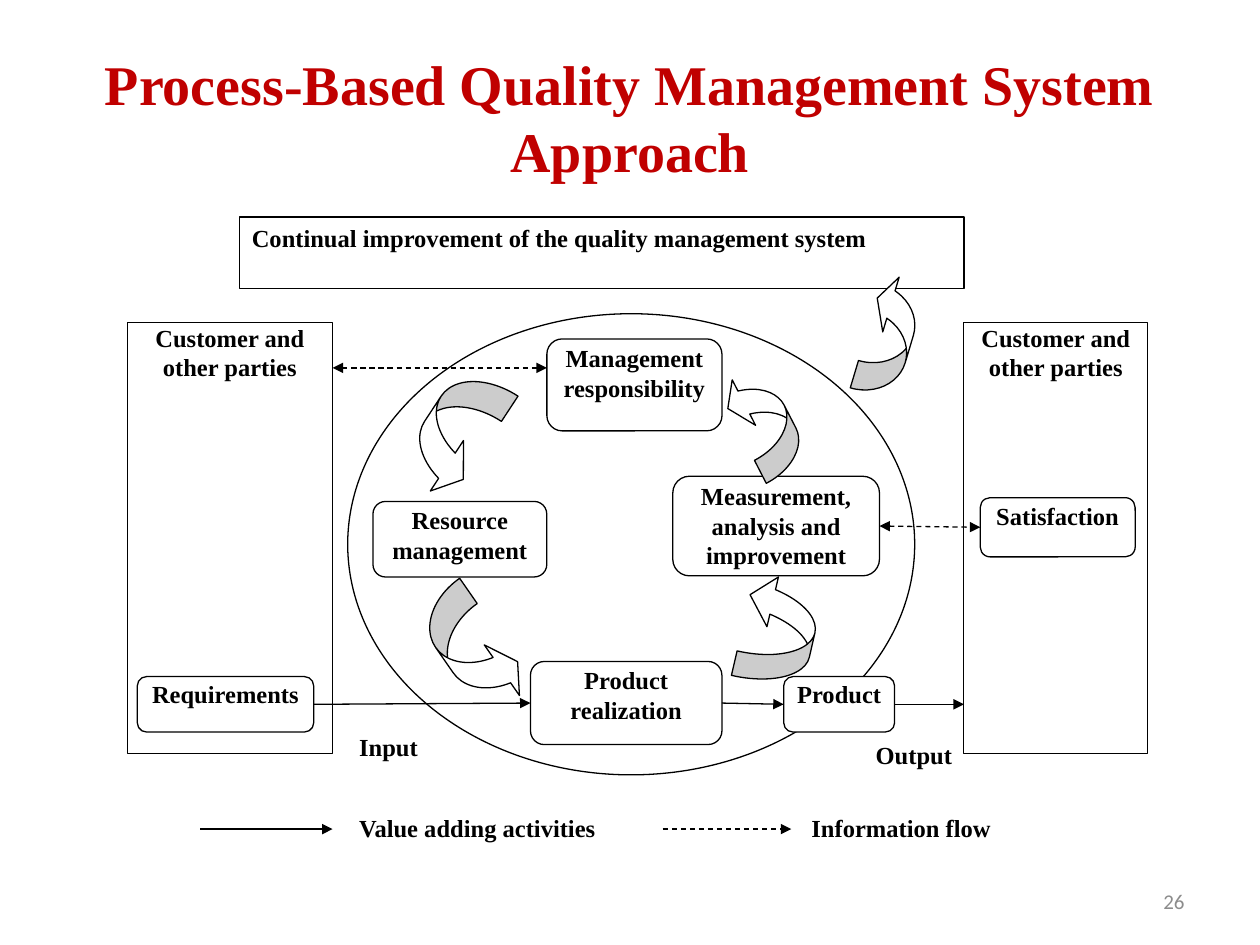
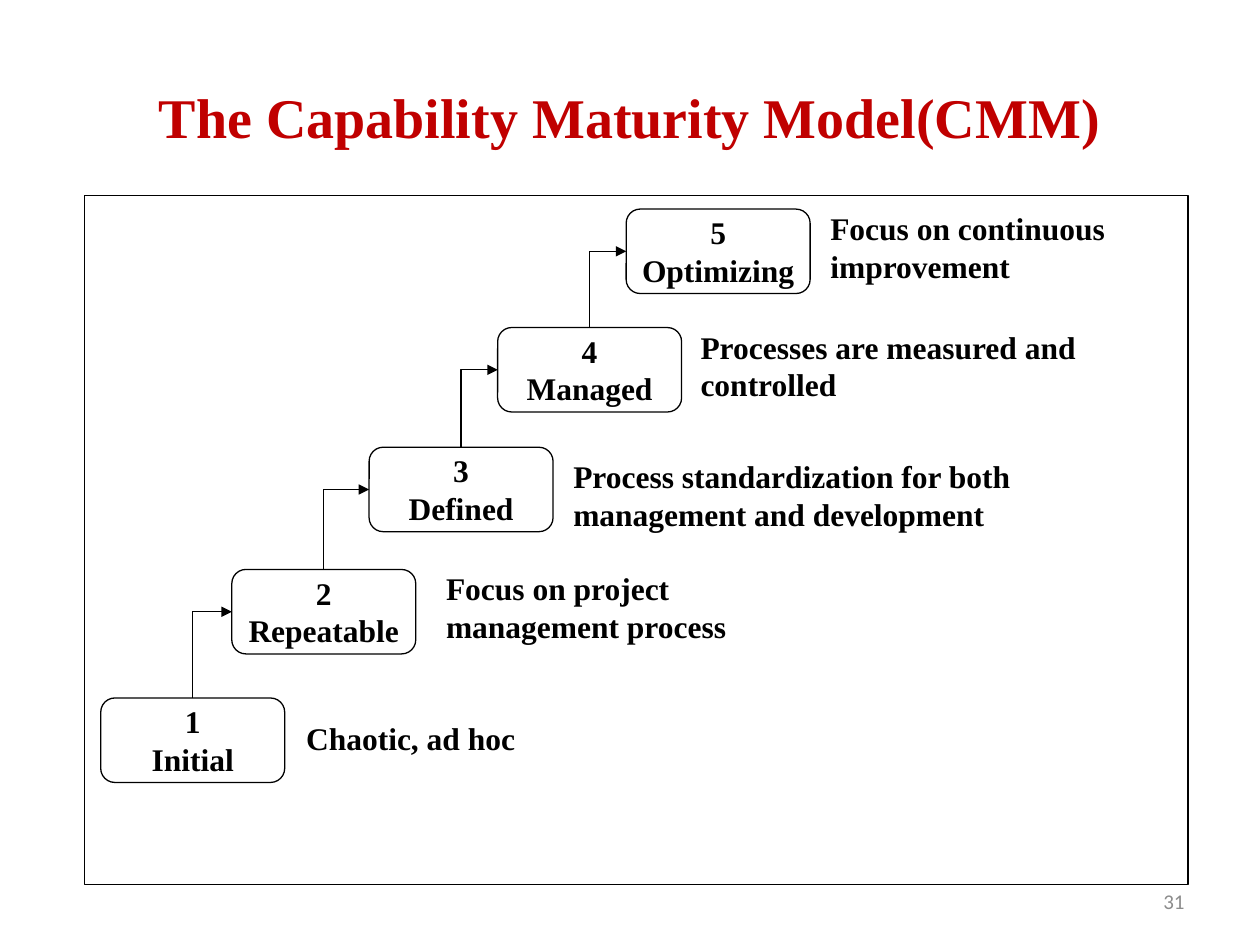
from lxml.etree import SubElement
from pptx import Presentation
from pptx.dml.color import RGBColor
from pptx.enum.dml import MSO_LINE
from pptx.enum.shapes import MSO_CONNECTOR, MSO_SHAPE
from pptx.enum.text import MSO_ANCHOR, PP_ALIGN
from pptx.oxml.ns import qn
from pptx.util import Inches, Pt

BLACK, WHITE, RED, GREY = "000000", "FFFFFF", "C00000", "8C8C8C"
SERIF, SANS = "Times New Roman", "Calibri"


def write(shape, text, size=14, color=BLACK, font=SERIF, bold=True,
          align=PP_ALIGN.CENTER, anchor=MSO_ANCHOR.TOP, inset=(0, 0)):
    tf = shape.text_frame
    tf.word_wrap = True
    tf.vertical_anchor = anchor
    tf.margin_left = tf.margin_right = Inches(inset[0])
    tf.margin_top = tf.margin_bottom = Inches(inset[1])
    tf.text = text
    for p in tf.paragraphs:
        p.alignment = align
        for r in p.runs:
            r.font.name, r.font.size, r.font.bold = font, Pt(size), bold
            r.font.color.rgb = RGBColor.from_string(color)


def outline(shape, fill=None, width=0.75, dash=False, ends=()):
    shape.line.color.rgb = RGBColor.from_string(BLACK)
    shape.line.width = Pt(width)
    if fill:
        shape.fill.solid()
        shape.fill.fore_color.rgb = RGBColor.from_string(fill)
        shape.shadow.inherit = False
        return
    if dash:
        shape.line.dash_style = MSO_LINE.DASH
    spPr = shape._element.spPr
    for end in ends:
        SubElement(spPr.find(qn("a:ln")), qn("a:" + end), type="triangle")
    SubElement(spPr, qn("a:effectLst"))


prs = Presentation()
prs.slide_width, prs.slide_height = Inches(10), Inches(7.5)

slides = []
for title, number in [
    ("Process-Based Quality Management System Approach", "26"),
    ("The Capability Maturity Model(CMM)", "31"),
]:
    s = prs.slides.add_slide(prs.slide_layouts[5])
    sp = s.shapes.title
    sp.left, sp.top, sp.width, sp.height = map(Inches, (0.5, 0.3, 9, 1.25))
    write(sp, title, size=32, color=RED, anchor=MSO_ANCHOR.MIDDLE, inset=(0.1, 0.05))
    sp = s.shapes.add_textbox(*map(Inches, (7.17, 6.95, 2.33, 0.4)))
    write(sp, number, size=12, color=GREY, font=SANS, bold=False,
          align=PP_ALIGN.RIGHT, anchor=MSO_ANCHOR.MIDDLE, inset=(0.1, 0.05))
    slides.append(s)

s = slides[0]
sp = s.shapes.add_shape(MSO_SHAPE.OVAL, *map(Inches, (2.76, 2.49, 4.5, 3.66)))
outline(sp, fill=WHITE)

sp = s.shapes.add_shape(MSO_SHAPE.RECTANGLE, *map(Inches, (1.9, 1.72, 5.75, 0.57)))
outline(sp, fill=WHITE, width=1)
write(sp, "Continual improvement of the quality management system",
      align=PP_ALIGN.LEFT, inset=(0.1, 0.05))

for left, width in [(1.01, 1.63), (7.65, 1.46)]:
    sp = s.shapes.add_shape(MSO_SHAPE.RECTANGLE, *map(Inches, (left, 2.56, width, 3.42)))
    outline(sp, fill=WHITE)
    write(sp, "Customer and other parties")

processes = {}
for name, text, box in [
    ("management", "Management responsibility", (4.34, 2.69, 1.39, 0.73)),
    ("realization", "Product\nrealization", (4.21, 5.25, 1.52, 0.66)),
    ("measurement", "Measurement, analysis and improvement", (5.34, 3.78, 1.64, 0.79)),
    ("resource", "Resource management", (2.96, 3.98, 1.38, 0.6)),
    ("requirements", "Requirements", (1.09, 5.37, 1.4, 0.44)),
    ("product", "Product", (6.22, 5.37, 0.88, 0.44)),
    ("satisfaction", "Satisfaction", (7.78, 3.95, 1.23, 0.47)),
]:
    sp = s.shapes.add_shape(MSO_SHAPE.ROUNDED_RECTANGLE, *map(Inches, box))
    outline(sp, fill=WHITE)
    write(sp, text)
    processes[name] = sp

RIGHT, UP = MSO_SHAPE.CURVED_RIGHT_ARROW, MSO_SHAPE.CURVED_UP_ARROW
for kind, box, rotation, adjustments in [
    (RIGHT, (6.88, 2.18, 0.36, 0.97), 196.7, (0.63, 1.26, 0.33)),
    (UP, (5.63, 3.15, 0.87, 0.41), 242.8, (0.5, 0.99, 0.33)),
    (RIGHT, (3.36, 2.92, 0.51, 1.03), 33.3, (0.47, 0.94, 0.33)),
    (RIGHT, (3.52, 4.63, 0.47, 1.05), 325.2, (0.52, 1.04, 0.3)),
    (UP, (5.75, 4.72, 0.86, 0.57), 283, (0.35, 0.71, 0.33)),
]:
    sp = s.shapes.add_shape(kind, *map(Inches, box))
    sp.rotation = rotation
    for i, value in enumerate(adjustments):
        sp.adjustments[i] = value
    outline(sp, fill=WHITE)

ONE_WAY, TWO_WAY = ("tailEnd",), ("headEnd", "tailEnd")
for line, begin, end, dash, ends in [
    ((2.49, 5.59, 4.21, 5.59), "requirements", "realization", False, ONE_WAY),
    ((5.73, 5.59, 6.22, 5.59), "realization", "product", False, ONE_WAY),
    ((7.1, 5.59, 7.65, 5.59), "product", None, False, ONE_WAY),
    ((6.98, 4.18, 7.78, 4.18), "measurement", "satisfaction", True, TWO_WAY),
    ((2.64, 2.92, 4.34, 2.92), None, None, True, TWO_WAY),
    ((1.59, 6.58, 2.64, 6.58), None, None, False, ONE_WAY),
    ((5.26, 6.58, 6.28, 6.58), None, None, True, ONE_WAY),
]:
    c = s.shapes.add_connector(MSO_CONNECTOR.STRAIGHT, *map(Inches, line))
    if begin:
        c.begin_connect(processes[begin], 3)
    if end:
        c.end_connect(processes[end], 1)
    outline(c, dash=dash, ends=ends)

for text, box in [
    ("Input", (2.85, 5.81, 0.67, 0.31)),
    ("Output", (6.95, 5.87, 0.67, 0.31)),
    ("Value adding activities", (2.85, 6.45, 2.26, 0.25)),
    ("Information flow", (6.44, 6.45, 1.69, 0.25)),
]:
    write(s.shapes.add_textbox(*map(Inches, box)), text, align=PP_ALIGN.LEFT)

s = slides[1]
sp = s.shapes.add_shape(MSO_SHAPE.RECTANGLE, *map(Inches, (0.67, 1.55, 8.76, 5.47)))
outline(sp, fill=WHITE)

levels = []
for level, (name, left, top, focus, box) in enumerate([
    ("Initial", 0.8, 5.54, "Chaotic, ad hoc", (2.43, 5.71, 1.96, 0.33)),
    ("Repeatable", 1.84, 4.52, "Focus on project management process",
     (3.54, 4.52, 2.44, 0.67)),
    ("Defined", 2.93, 3.55, "Process standardization for both management and development",
     (4.55, 3.63, 3.82, 0.59)),
    ("Managed", 3.95, 2.6, "Processes are measured and controlled",
     (5.56, 2.6, 3.25, 0.67)),
    ("Optimizing", 4.97, 1.66, "Focus on continuous improvement",
     (6.59, 1.66, 2.43, 0.67)),
], start=1):
    sp = s.shapes.add_shape(MSO_SHAPE.ROUNDED_RECTANGLE,
                            *map(Inches, (left, top, 1.46, 0.67)))
    outline(sp, fill=WHITE)
    write(sp, f"{level}\n{name}", size=18)
    levels.append(sp)
    sp = s.shapes.add_textbox(*map(Inches, box))
    write(sp, focus, size=18, align=PP_ALIGN.LEFT)

for lower, upper in zip(levels, levels[1:]):
    c = s.shapes.add_connector(MSO_CONNECTOR.ELBOW, 0, 0, 0, 0)
    c.begin_connect(lower, 0)
    c.end_connect(upper, 1)
    run, rise = c.width, c.height
    c.left, c.top = c.left + (run - rise) // 2, c.top + (rise - run) // 2
    c.width, c.height = rise, run
    spPr = c._element.spPr
    spPr.xfrm.set("flipV", "0")
    spPr.xfrm.set("rot", str(270 * 60000))
    spPr.find(qn("a:prstGeom")).set("prst", "bentConnector2")
    outline(c, ends=ONE_WAY)

prs.save("out.pptx")
